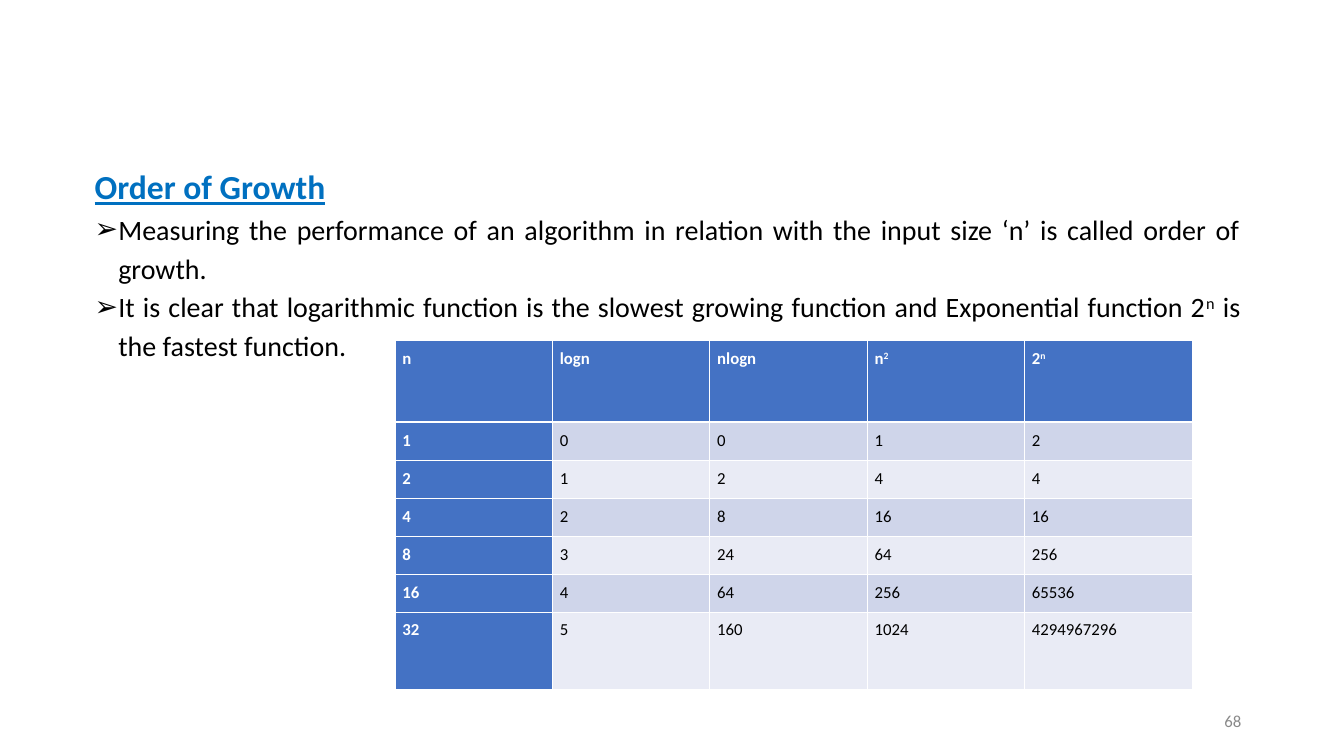
from pptx import Presentation
from pptx.dml.color import RGBColor as RGB
from pptx.enum.text import MSO_ANCHOR as Anchor, MSO_AUTO_SIZE as Auto, PP_ALIGN as Align
from pptx.oxml.ns import qn
from pptx.util import Pt
from lxml.etree import SubElement as Sub, Element

FONT = "Calibri"
HUES = {"title": "0070C0", "text": "000000", "page": "898989", "white": "FFFFFF",
        "head": "4472C4", "odd": "CFD5EA", "even": "E9EBF5"}
POINTS = [
    "Measuring the performance of an algorithm in relation with the input size ‘n’ "
    "is called order of growth.",
    "It is clear that logarithmic function is the slowest growing function and "
    "Exponential function 2^n^ is the fastest function.",
]
GROWTH = [
    ["n", "logn", "nlogn", "n^2", "2^n"],
    ["1", "0", "0", "1", "2"],
    ["2", "1", "2", "4", "4"],
    ["4", "2", "8", "16", "16"],
    ["8", "3", "24", "64", "256"],
    ["16", "4", "64", "256", "65536"],
    ["32", "5", "160", "1024", "4294967296"],
]
WIDTHS = [112.5] * 4 + [120]
HEIGHTS = [58.2] + [27.1] * 5 + [55.4]


def hue(name):
    return RGB.from_string(HUES[name])


def write(para, text, size, color, bold=False, align=Align.JUSTIFY, lead=1.15):
    for i, part in enumerate(text.split("^")):
        run = para.add_run()
        run.text = part
        if i % 2:
            run._r.get_or_add_rPr().set("baseline", "30000")
    para.alignment = align
    para.line_spacing = lead
    para.space_before = Pt(0)
    font = para.font
    font.name, font.size, font.bold = FONT, Pt(size), bold
    font.color.rgb = hue(color)


def bullet(para, indent):
    props = para._p.get_or_add_pPr()
    props.set("marL", str(Pt(indent)))
    props.set("indent", str(-Pt(indent)))
    Sub(props, qn("a:buFont"), typeface="Arial")
    Sub(props, qn("a:buChar"), char="➢")


def add_box(slide, x, y, w, h, anchor=Anchor.TOP):
    frame = slide.shapes.add_textbox(Pt(x), Pt(y), Pt(w), Pt(h)).text_frame
    frame.word_wrap = True
    frame.vertical_anchor = anchor
    return frame


def add_title(slide, text, x, y, w, h):
    title = slide.shapes.title
    title.left, title.top, title.width, title.height = Pt(x), Pt(y), Pt(w), Pt(h)
    frame = title.text_frame
    frame.auto_size = Auto.NONE
    frame.vertical_anchor = Anchor.TOP
    para = frame.paragraphs[0]
    write(para, text, 24, "title", bold=True)
    para.font.underline = True


def add_list(slide, points, x, y, w, h):
    frame = add_box(slide, x, y, w, h)
    for i, text in enumerate(points):
        para = frame.add_paragraph() if i else frame.paragraphs[0]
        bullet(para, 17)
        write(para, text, 20, "text")


def edge(cell, sides):
    props = cell._tc.get_or_add_tcPr()
    for i, (side, width) in enumerate(sides.items()):
        line = Element(qn("a:ln" + side), w=str(Pt(width)))
        Sub(Sub(line, qn("a:solidFill")), qn("a:srgbClr"), val=HUES["white"])
        props.insert(i, line)


def add_grid(slide, rows, x, y):
    table = slide.shapes.add_table(len(rows), len(WIDTHS), Pt(x), Pt(y),
                                   Pt(sum(WIDTHS)), Pt(sum(HEIGHTS))).table
    table.first_col = True
    table.horz_banding = False
    for col, width in zip(table.columns, WIDTHS):
        col.width = Pt(width)
    for r, (row, height) in enumerate(zip(rows, HEIGHTS)):
        table.rows[r].height = Pt(height)
        for c, text in enumerate(row):
            cell = table.cell(r, c)
            head = r == 0 or c == 0
            cell.margin_left = cell.margin_right = Pt(5.4)
            cell.fill.solid()
            cell.fill.fore_color.rgb = hue("head" if head else "odd" if r % 2 else "even")
            edge(cell, {"L": 0.45, "R": 0.45, "T": 1.47 if r == 1 else 0.45,
                        "B": 1.47 if r == 0 else 0.45})
            para = cell.text_frame.paragraphs[0]
            write(para, text, 12, "white" if head else "text", bold=head)
            para.space_after = Pt(10)


def add_page(slide, number, x, y, w, h):
    frame = add_box(slide, x, y, w, h, Anchor.MIDDLE)
    write(frame.paragraphs[0], number, 12, "page", align=Align.RIGHT, lead=1.0)


def main():
    deck = Presentation()
    deck.slide_width, deck.slide_height = Pt(960.48), Pt(540)
    slide = deck.slides.add_slide(deck.slide_layouts[5])
    add_page(slide, "68", 678.2, 500.4, 216, 28.8)
    add_title(slide, "Order of Growth", 60.5, 110.9, 833, 41)
    add_list(slide, POINTS, 60.5, 144.6, 833, 241)
    add_grid(slide, GROWTH, 282.2, 243.4)
    deck.save("out.pptx")


if __name__ == "__main__":
    main()
